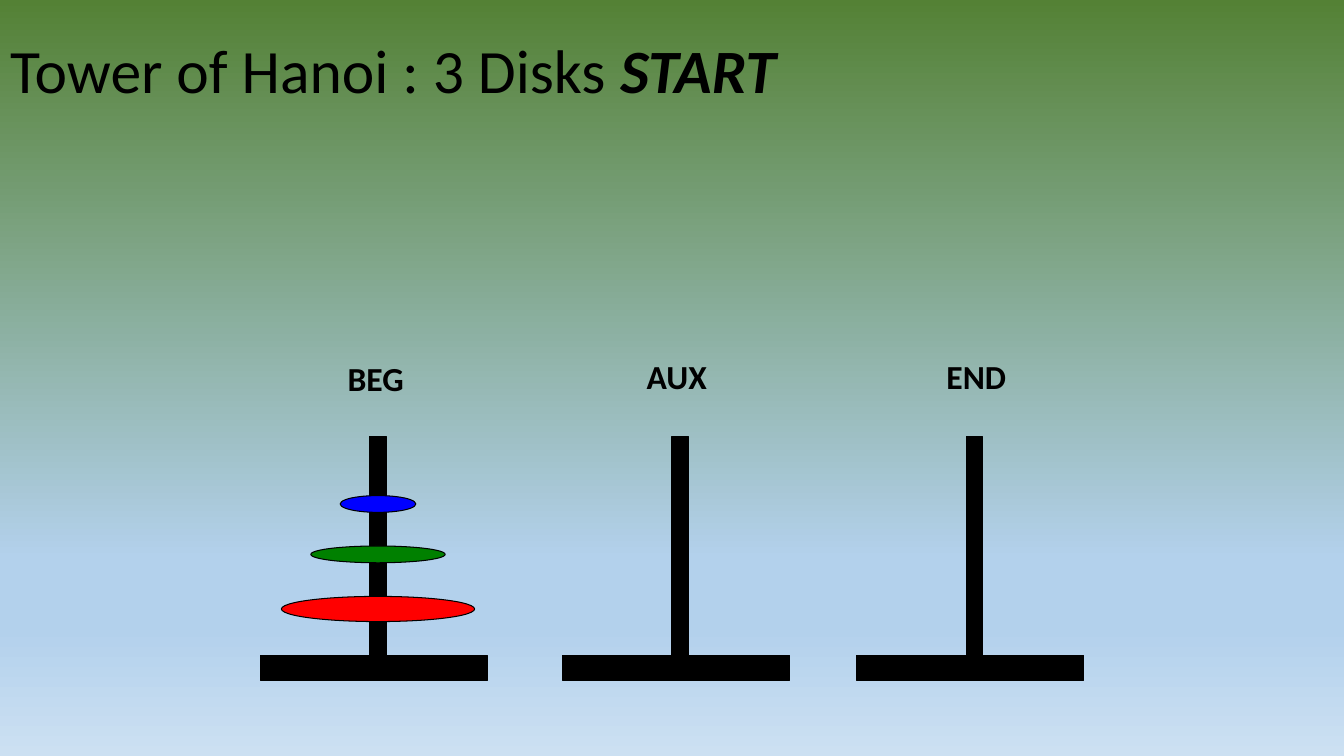
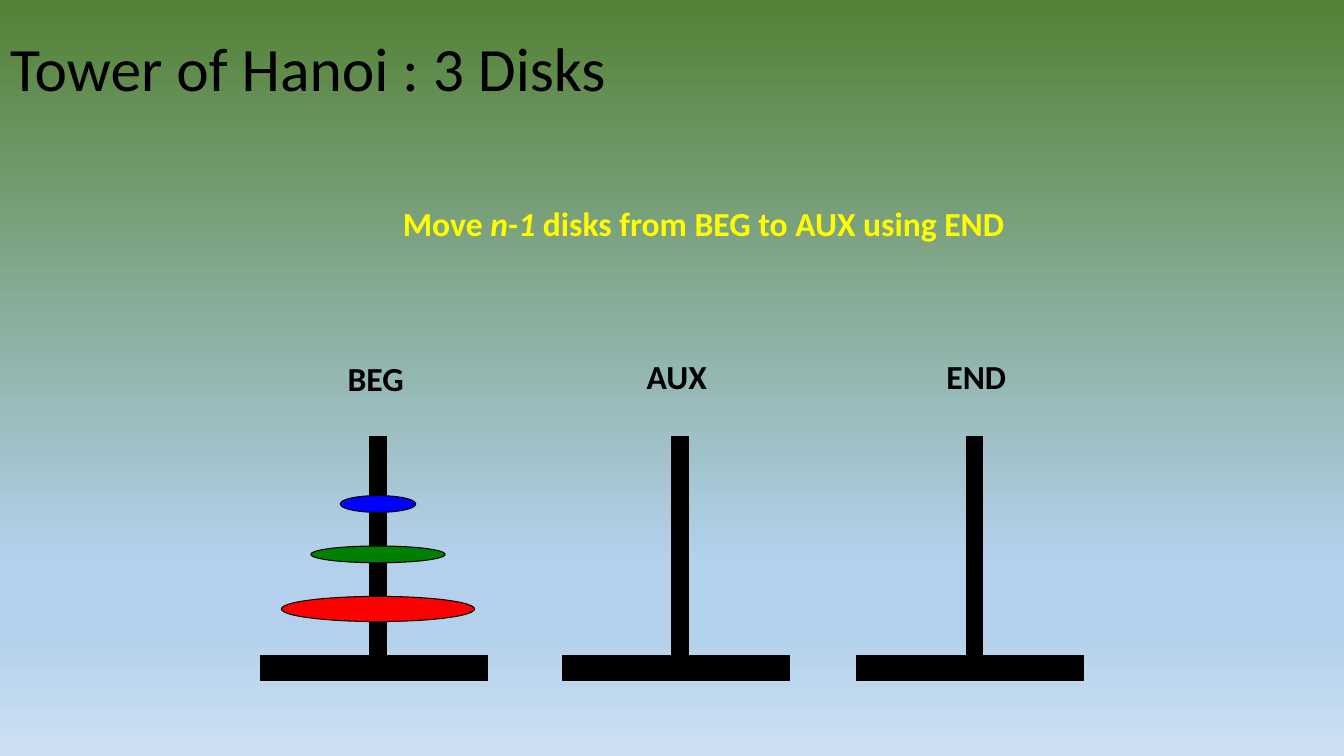
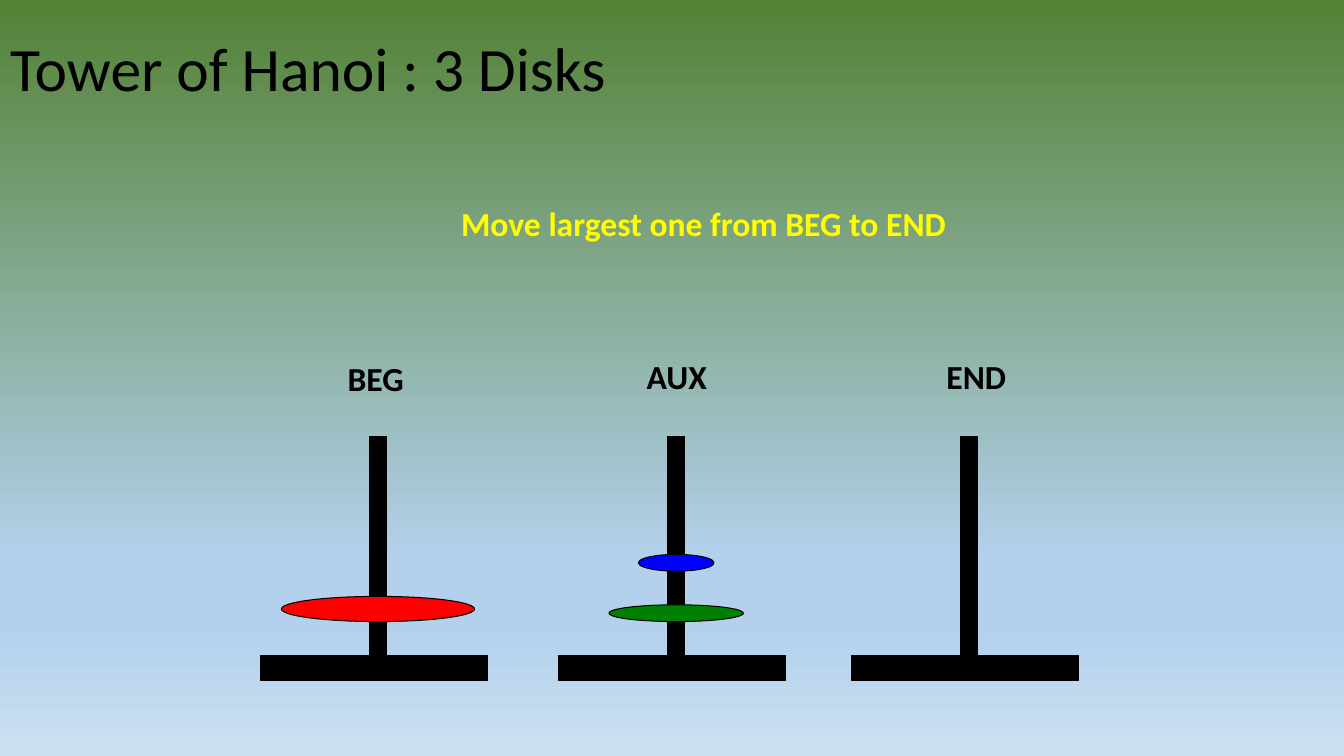
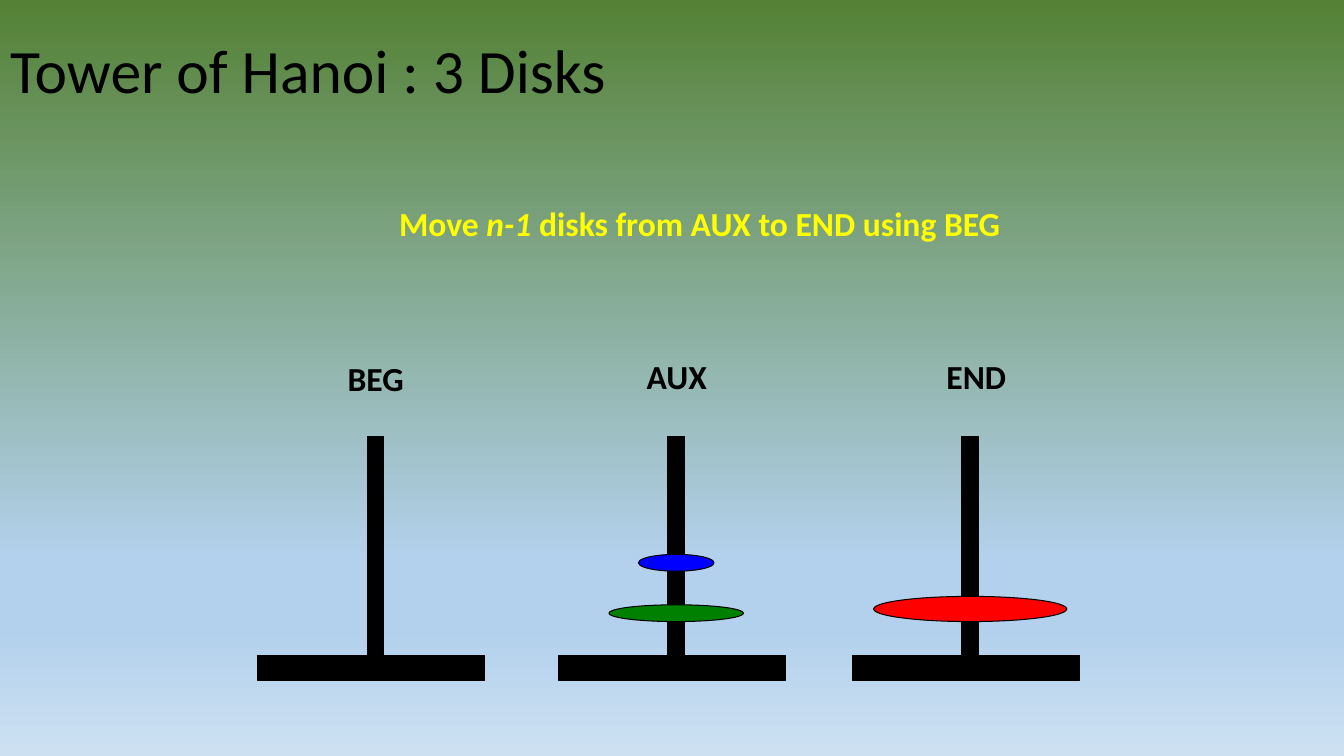
from copy import deepcopy

from pptx import Presentation
from pptx import util as u
from pptx.dml.color import RGBColor
from pptx.enum import shapes, text
from pptx.oxml.ns import qn

COLUMNS, ROWS = 160, 90
BLACK, YELLOW = "000000", "FFFF00"
GRADIENT = [(0, "548135"), (0.74, "B3D1EC"), (0.83, "B3D1EC"), (1, "CCE0F2")]
DISKS = {
    "large": (23, 3, "FF0000"),
    "medium": (16, 2, "008000"),
    "small": (9, 2, "0000FF"),
}
ALL_DISKS = ["large", "medium", "small"]
LABELS = [("BEG", 40.2, 42, 9.2), ("AUX", 75.8, 41.8, 10.3), ("END", 111.5, 41.8, 11)]
TITLE = [("Tower of Hanoi : 3 Disks", "")]


def color(hex_string):
    return RGBColor.from_string(hex_string)


class Deck:
    font = "Calibri"
    title_size = 44
    text_size = 24
    base_width, base_height, base_top = 27, 3, 78
    pole_width, pole_height = 2, 26
    disk_floor, disk_step = 74, 6

    def __init__(self):
        self.presentation = Presentation()
        self.presentation.slide_width = u.Inches(13.33)
        self.presentation.slide_height = u.Inches(7.5)
        self.slide = None
        self.paint_background()

    def paint_background(self):
        master = self.presentation.slide_master
        fill = master.background.fill
        fill.gradient()
        fill.gradient_angle = 270
        stop_list = master.element.find(".//" + qn("a:gsLst"))
        while len(stop_list) < len(GRADIENT):
            stop_list.append(deepcopy(stop_list[0]))
        for stop, (position, shade) in zip(fill.gradient_stops, GRADIENT):
            stop.position = position
            stop.color.rgb = color(shade)

    def box(self, left, top, width, height):
        column = self.presentation.slide_width / COLUMNS
        row = self.presentation.slide_height / ROWS
        return [u.Emu(round(length * unit)) for length, unit in
                ((left, column), (top, row), (width, column), (height, row))]

    def add_runs(self, paragraph, runs, size, shade):
        for wording, style in runs:
            run = paragraph.add_run()
            run.text = wording
            run.font.name = self.font
            run.font.size = u.Pt(size)
            run.font.bold = "b" in style
            run.font.italic = "i" in style
            run.font.color.rgb = color(shade)

    def title(self, runs, top):
        layout = self.presentation.slide_layouts.get_by_name("Title Only")
        self.slide = self.presentation.slides.add_slide(layout)
        shape = self.slide.shapes.title
        shape.left, shape.top, shape.width, shape.height = self.box(0, top, COLUMNS, 17.4)
        frame = shape.text_frame
        frame.auto_size = text.MSO_AUTO_SIZE.NONE
        frame.vertical_anchor = text.MSO_ANCHOR.MIDDLE
        paragraph = frame.paragraphs[0]
        paragraph.alignment = text.PP_ALIGN.LEFT
        paragraph.line_spacing = 0.9
        self.add_runs(paragraph, runs, self.title_size, BLACK)

    def text_box(self, runs, left, top, width, shade=BLACK, alignment=text.PP_ALIGN.LEFT):
        shape = self.slide.shapes.add_textbox(*self.box(left, top, width, 6))
        frame = shape.text_frame
        frame.word_wrap = True
        frame.auto_size = text.MSO_AUTO_SIZE.SHAPE_TO_FIT_TEXT
        paragraph = frame.paragraphs[0]
        paragraph.alignment = alignment
        self.add_runs(paragraph, runs, self.text_size, shade)

    def shape(self, group, kind, left, top, width, height, shade):
        shape = group.shapes.add_shape(kind, *self.box(left, top, width, height))
        shape.shadow.inherit = False
        shape.fill.solid()
        shape.fill.fore_color.rgb = color(shade)
        shape.line.color.rgb = color(BLACK)
        shape.line.width = u.Pt(0.75)

    def tower(self, left, disks):
        group = self.slide.shapes.add_group_shape()
        rectangle, oval = shapes.MSO_SHAPE.RECTANGLE, shapes.MSO_SHAPE.OVAL
        self.shape(group, rectangle, left, self.base_top,
                   self.base_width, self.base_height, BLACK)
        center = left + 14
        self.shape(group, rectangle, center - self.pole_width / 2,
                   self.base_top - self.pole_height,
                   self.pole_width, self.pole_height, BLACK)
        for level, name in enumerate(disks):
            width, height, shade = DISKS[name]
            if level == 0:
                top = self.disk_floor - height
            self.shape(group, oval, center - width / 2,
                       top - level * self.disk_step, width, height, shade)

    def step(self, title, title_top, instruction, towers):
        self.title(title, title_top)
        for left, disks in towers:
            self.tower(left, disks)
        for name, left, top, width in LABELS:
            self.text_box([(name, "b")], left, top, width)
        if instruction:
            self.text_box(instruction, 38.5, 23.6, 90.5, YELLOW, text.PP_ALIGN.CENTER)


def main():
    deck = Deck()
    start = [(31, ALL_DISKS), (67, []), (102, [])]
    deck.step([("Tower of Hanoi : 3 Disks ", ""), ("START", "bi")], 0, None, start)
    deck.step(TITLE, -0.15,
              [("Move ", "b"), ("n-1", "bi"), (" disks from BEG to AUX using END", "b")],
              start)
    deck.step(TITLE, -0.15,
              [("Move largest one from BEG to END", "b")],
              [(31, ["large"]), (66.5, ["medium", "small"]), (101.4, [])])
    deck.step(TITLE, 0,
              [("Move ", "b"), ("n-1", "bi"), (" disks from AUX to END using BEG ", "b")],
              [(30.7, []), (66.5, ["medium", "small"]), (101.5, ["large"])])
    deck.presentation.save("out.pptx")


if __name__ == "__main__":
    main()
